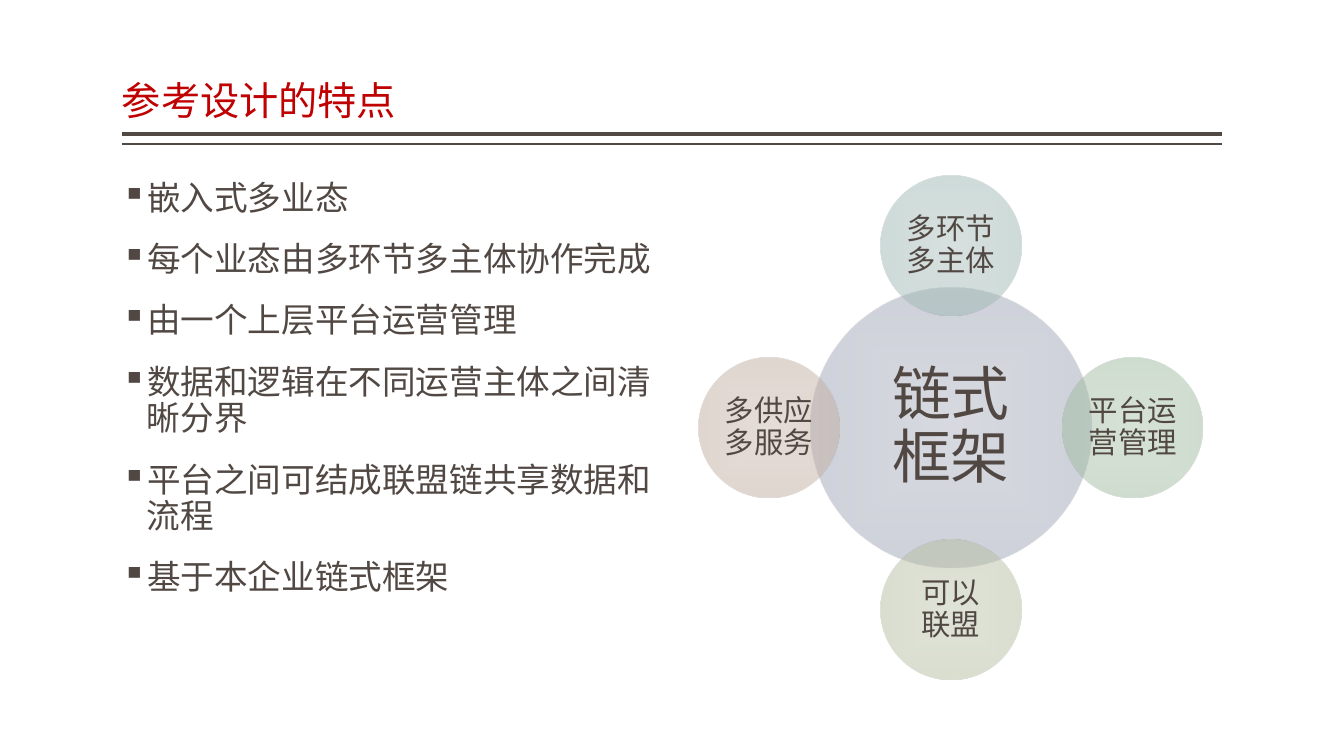
from dataclasses import dataclass

from lxml.etree import SubElement
from pptx import Presentation
from pptx.dml.color import RGBColor
from pptx.enum.shapes import MSO_CONNECTOR, MSO_SHAPE
from pptx.enum.text import MSO_ANCHOR, PP_ALIGN
from pptx.oxml.ns import qn
from pptx.util import Emu, Pt

EMU_PER_PX = 914400 / 100.8


def px(length):
    return Emu(round(length * EMU_PER_PX))


@dataclass(frozen=True)
class Theme:
    ink: str = "514843"
    title_red: str = "BF0102"
    east_asian: str = "Noto Sans CJK SC"
    diagram_font: str = "Lato"
    title_size: int = 28
    body_size: int = 24
    hub_size: int = 42
    satellite_size: int = 21
    line_spacing: float = 0.9
    bullet_gap: int = 18
    opacity: int = 50
    # Centre and edge colour of each circle
    hub: tuple = ("B1B6C2", "9EA5B5")
    teal: tuple = ("B1C4C1", "9EB8B4")
    green: tuple = ("B1C7B2", "9FBBA0")
    olive: tuple = ("C3C9B2", "B6BEA0")
    brown: tuple = ("CCBDB3", "C2AEA1")


class SlideBuilder:
    def __init__(self, page, theme):
        self.page = page
        self.theme = theme

    def style(self, para, size, color, font):
        para.line_spacing = self.theme.line_spacing
        para.font.size = Pt(size)
        para.font.color.rgb = RGBColor.from_string(color)
        para.font.name = font
        defaults = para._p.pPr.find(qn("a:defRPr"))
        SubElement(defaults, qn("a:ea"), typeface=self.theme.east_asian)

    def frame(self, shape, anchor, side, vertical):
        frame = shape.text_frame
        frame.word_wrap = True
        frame.vertical_anchor = anchor
        frame.margin_left = frame.margin_right = px(side)
        frame.margin_top = frame.margin_bottom = px(vertical)
        return frame

    def rule(self, left, right, y, weight):
        line = self.page.shapes.add_connector(
            MSO_CONNECTOR.STRAIGHT, px(left), px(y), px(right), px(y))
        line.line.color.rgb = RGBColor.from_string(self.theme.ink)
        line.line.width = Pt(weight)
        SubElement(line._element.spPr, qn("a:effectLst"))

    def title(self, text, left, top, width, height):
        box = self.page.shapes.add_textbox(px(left), px(top), px(width), px(height))
        para = self.frame(box, MSO_ANCHOR.BOTTOM, 0, 5).paragraphs[0]
        para.text = text
        self.style(para, self.theme.title_size, self.theme.title_red, self.theme.east_asian)

    def bullets(self, items, left, top, width, height, indent):
        box = self.page.shapes.add_textbox(px(left), px(top), px(width), px(height))
        frame = self.frame(box, MSO_ANCHOR.TOP, 0, 5)
        for index, item in enumerate(items):
            para = frame.add_paragraph() if index else frame.paragraphs[0]
            para.text = item
            if index:
                para.space_before = Pt(self.theme.bullet_gap)
            properties = para._p.get_or_add_pPr()
            properties.set("marL", str(px(indent)))
            properties.set("indent", str(-px(indent)))
            SubElement(properties, qn("a:buChar"), char="▪")
            self.style(para, self.theme.body_size, self.theme.ink, self.theme.east_asian)

    def circle(self, text, center_x, center_y, radius, colors, size, inset):
        shape = self.page.shapes.add_shape(
            MSO_SHAPE.OVAL, px(center_x - radius), px(center_y - radius),
            px(2 * radius), px(2 * radius))
        shape.shadow.inherit = False
        shape.line.fill.background()
        self.glow(shape, colors)
        para = self.frame(shape, MSO_ANCHOR.MIDDLE, inset, inset).paragraphs[0]
        para.text = text
        para.alignment = PP_ALIGN.CENTER
        self.style(para, size, self.theme.ink, self.theme.diagram_font)

    def glow(self, shape, colors):
        """Fill with a translucent gradient running from the centre outwards."""
        shape.fill.gradient()
        for stop, color in zip(shape.fill.gradient_stops, colors):
            stop.color.rgb = RGBColor.from_string(color)
        gradient = shape._element.spPr.find(qn("a:gradFill"))
        for color in gradient.iter(qn("a:srgbClr")):
            SubElement(color, qn("a:alpha"), val=str(self.theme.opacity * 1000))
        gradient.remove(gradient.find(qn("a:lin")))
        spread = SubElement(gradient, qn("a:path"), path="rect")
        SubElement(spread, qn("a:fillToRect"), l="50000", t="50000", r="50000", b="50000")


def main():
    deck = Presentation()
    deck.slide_width, deck.slide_height = px(1344), px(756)
    theme = Theme()
    builder = SlideBuilder(deck.slides.add_slide(deck.slide_layouts[6]), theme)

    # Title with its double rule
    left, right = 122, 1222
    builder.rule(left, right, 134, 3)
    builder.rule(left, right, 144, 1)
    builder.title("参考设计的特点", left, 8, right - left, 121)

    # Feature list
    features = [
        "嵌入式多业态",
        "每个业态由多环节多主体协作完成",
        "由一个上层平台运营管理",
        "数据和逻辑在不同运营主体之间清晰分界",
        "平台之间可结成联盟链共享数据和流程",
        "基于本企业链式框架",
    ]
    builder.bullets(features, left, 176, 542, 504, 25)

    # Hub with four satellites at equal distance
    hub_x, hub_y, distance = 951, 428, 182
    builder.circle("链式\n框架", hub_x, hub_y, 140, theme.hub, theme.hub_size, 6)
    satellites = [
        ("多环节多主体", 0, -1, theme.teal),
        ("平台运营管理", 1, 0, theme.green),
        ("可以\n联盟", 0, 1, theme.olive),
        ("多供应\n多服务", -1, 0, theme.brown),
    ]
    for text, across, down, colors in satellites:
        builder.circle(text, hub_x + across * distance, hub_y + down * distance,
                       70, colors, theme.satellite_size, 3)

    deck.save("out.pptx")


if __name__ == "__main__":
    main()
